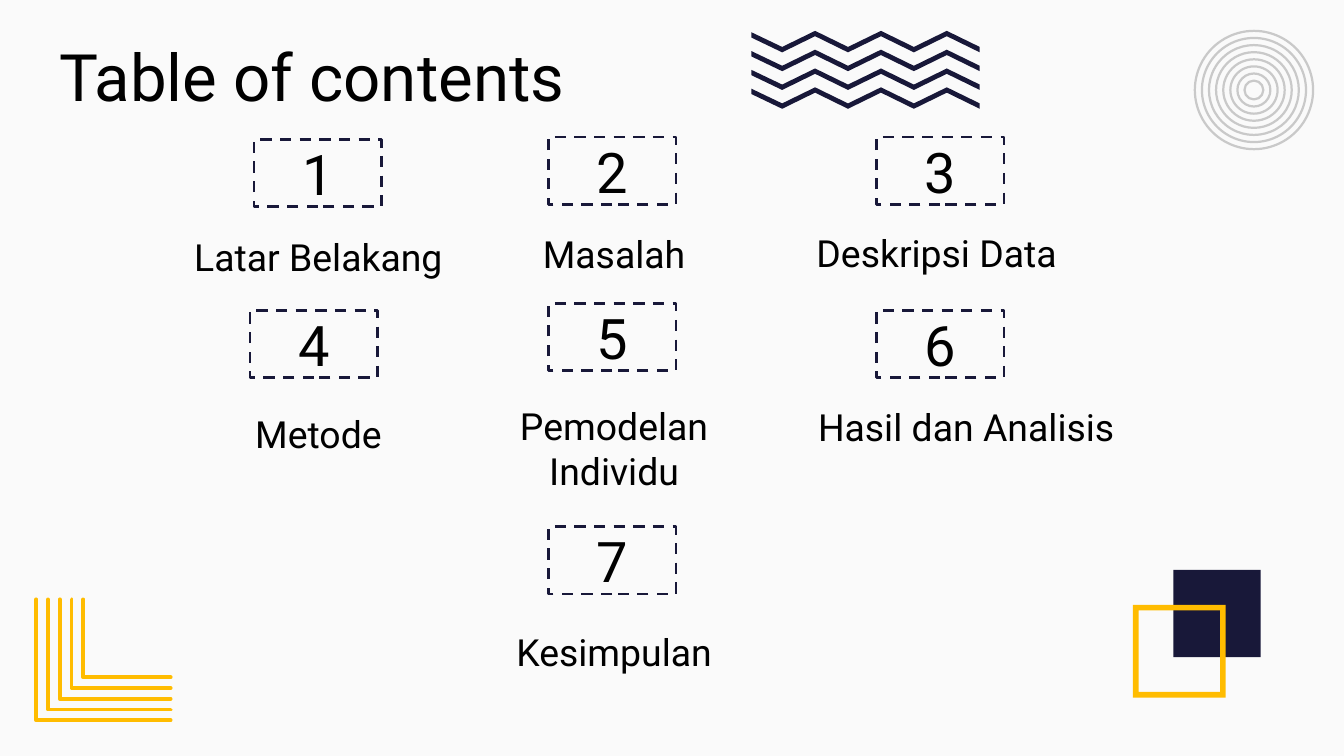
from pptx import Presentation
from pptx.dml.color import RGBColor
from pptx.enum import dml, shapes, text
from pptx.util import Inches, Pt

NAVY = RGBColor(0x18, 0x18, 0x39)
YELLOW = RGBColor(0xFF, 0xBC, 0x00)
GREY = RGBColor(0xC9, 0xC9, 0xC9)
BLACK = RGBColor(0, 0, 0)
PAPER = RGBColor(0xFA, 0xFA, 0xFA)


def paint(sp, fill=None, line=None, width=1.5):
    """Give a shape a flat fill and outline; None leaves that part empty."""
    sp.shadow.inherit = False
    if fill is None:
        sp.fill.background()
    else:
        sp.fill.solid()
        sp.fill.fore_color.rgb = fill
    if line is None:
        sp.line.fill.background()
    else:
        sp.line.color.rgb = line
        sp.line.width = Pt(width)


def write(sp, words, size, align, anchor=text.MSO_ANCHOR.TOP):
    tf = sp.text_frame
    tf.text = words
    tf.word_wrap = True
    tf.auto_size = text.MSO_AUTO_SIZE.NONE
    tf.vertical_anchor = anchor
    tf.margin_left = tf.margin_right = tf.margin_top = tf.margin_bottom = Inches(0.1)
    p = tf.paragraphs[0]
    p.alignment = align
    font = p.runs[0].font
    font.name, font.size, font.color.rgb = "Roboto", Pt(size), BLACK


prs = Presentation()
prs.slide_width, prs.slide_height = Inches(10), Inches(10 * 9 / 16)
s = prs.slides.add_slide(prs.slide_layouts[5])
s.background.fill.solid()
s.background.fill.fore_color.rgb = PAPER

# Nested yellow corner lines, outermost first
for i in range(5):
    x, y = 0.27 + 0.35 * i / 4, 5.36 - 0.08 * i
    corner = s.shapes.build_freeform(Inches(x), Inches(4.46), scale=1.0)
    corner.add_line_segments(
        [(Inches(x), Inches(y)), (Inches(1.27), Inches(y))], close=False)
    sp = corner.convert_to_shape()
    paint(sp, line=YELLOW, width=2)
    sp.line._get_or_add_ln().set("cap", "rnd")

# Overlapping squares
square = s.shapes.add_shape(shapes.MSO_SHAPE.RECTANGLE,
                            Inches(8.73), Inches(4.24), Inches(0.65), Inches(0.65))
paint(square, fill=NAVY)
frame = s.shapes.add_shape(shapes.MSO_SHAPE.FRAME,
                           Inches(8.43), Inches(4.5), Inches(0.69), Inches(0.69))
frame.adjustments[0] = 0.06
paint(frame, fill=YELLOW)

# Concentric rings
for i in range(8):
    radius = 0.44 - 0.37 * i / 7
    ring = s.shapes.add_shape(shapes.MSO_SHAPE.OVAL,
                              Inches(9.33 - radius), Inches(0.67 - radius),
                              Inches(2 * radius), Inches(2 * radius))
    paint(ring, line=GREY, width=1.2)

# Zigzag bands: an upper edge, then the same edge lower down in reverse
edge = [(5.59, 0.24)] + [(5.82 + 0.49 * i / 2, 0.23 if i % 2 else 0.35) for i in range(7)]
for row in range(4):
    top = [(Inches(x), Inches(y + 0.14 * row)) for x, y in edge]
    bottom = [(x, y + Inches(0.04)) for x, y in reversed(top)]
    band = s.shapes.build_freeform(*top[0], scale=1.0)
    band.add_line_segments(top[1:] + bottom, close=True)
    paint(band.convert_to_shape(), fill=NAVY)

title = s.shapes.title
title.left, title.top = Inches(0.34), Inches(0.17)
title.width, title.height = Inches(8.45), Inches(0.63)
write(title, "Table of contents", 35, text.PP_ALIGN.LEFT)

# Label, number box left and top, label centre and top
sections = [
    ("Latar Belakang", 1.89, 1.04, 2.37, 1.64),
    ("Masalah", 4.08, 1.02, 4.57, 1.62),
    ("Deskripsi Data", 6.52, 1.02, 6.97, 1.61),
    ("Metode", 1.86, 2.31, 2.37, 2.96),
    ("Pemodelan Individu", 4.08, 2.26, 4.57, 2.9),
    ("Hasil dan Analisis", 6.52, 2.31, 7.19, 2.91),
    ("Kesimpulan", 4.08, 3.92, 4.57, 4.58),
]
LABEL_W = 2.6
for number, (label, box_x, box_y, centre, label_y) in enumerate(sections, 1):
    box = s.shapes.add_shape(shapes.MSO_SHAPE.RECTANGLE,
                             Inches(box_x), Inches(box_y), Inches(0.95), Inches(0.5))
    paint(box, line=NAVY)
    box.line.dash_style = dml.MSO_LINE.DASH
    write(box, str(number), 30, text.PP_ALIGN.CENTER, text.MSO_ANCHOR.MIDDLE)
    caption = s.shapes.add_textbox(Inches(centre - LABEL_W / 2), Inches(label_y),
                                   Inches(LABEL_W), Inches(0.75))
    write(caption, label, 20, text.PP_ALIGN.CENTER)

prs.save("out.pptx")
